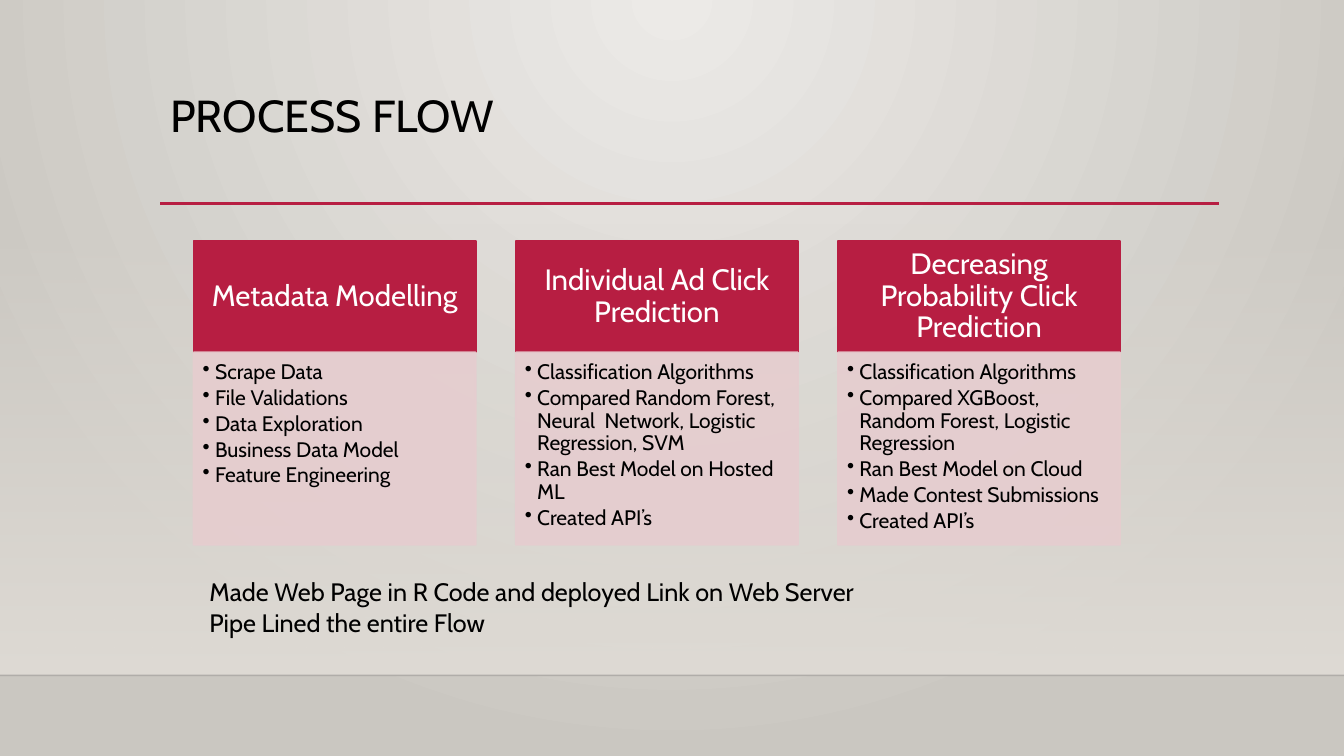
from pptx import Presentation
from pptx.dml.color import RGBColor
from pptx.enum.shapes import MSO_CONNECTOR as CONN, MSO_SHAPE as SHAPE
from pptx.enum.text import MSO_ANCHOR as ANCHOR, MSO_AUTO_SIZE as AUTO, PP_ALIGN as ALIGN
from pptx.oxml.ns import qn
from pptx.util import Cm, Pt
from lxml.etree import SubElement

rgb = RGBColor.from_string
CRIMSON, PINK, BLACK, WHITE = "B71E42", "E6CDCF", "000000", "FFFFFF"


def sub(parent, tag, **attrs):
    """Append an XML child with the given attributes."""
    return SubElement(parent, qn(tag), attrs)


def write(tf, lines, size, color, margins, para=None, **frame):
    """Fill a text frame, one paragraph per line."""
    frame = {"word_wrap": True, "vertical_anchor": ANCHOR.TOP, **frame}
    for side, cm in zip(("left", "top", "right", "bottom"), margins):
        frame[f"margin_{side}"] = Cm(cm)
    for name, value in frame.items():
        setattr(tf, name, value)
    for i, line in enumerate(lines):
        p = tf.paragraphs[0] if i == 0 else tf.add_paragraph()
        for name, value in {"alignment": ALIGN.LEFT, **(para or {})}.items():
            setattr(p, name, value)
        r = p.add_run()
        r.text = line
        r.font.name, r.font.size = "Cabin", Pt(size)
        r.font.color.rgb = rgb(color)


prs = Presentation()
prs.slide_width, prs.slide_height = Cm(33.87), Cm(19.05)
s = prs.slides.add_slide(prs.slide_layouts[5])

# Background: radial glow from the top centre
bg = s.background.fill
bg.gradient()
for stop, color in zip(bg.gradient_stops, ("ECEAE7", "CAC7C1")):
    stop.color.rgb = rgb(color)
grad = next(s.element.iter(qn("a:gradFill")))
grad.remove(grad.find(qn("a:lin")))
glow = sub(grad, "a:path", path="circle")
sub(glow, "a:fillToRect", l="43000", t="0", r="43000", b="100000")

# Wall fading in towards the floor
wall = s.shapes.add_shape(SHAPE.RECTANGLE, 0, Cm(5.61), prs.slide_width, Cm(11.41))
wall.shadow.inherit = False
wall.line.fill.background()
wall.fill.gradient()
wall.fill.gradient_angle = 270
for stop in wall.fill.gradient_stops:
    stop.color.rgb = rgb("DFDBD5")
sub(next(wall.element.iter(qn("a:srgbClr"))), "a:alpha", val="0")

# Floor edge and title rule: left, right, y, colour, width, opacity
for x1, x2, y, color, width, alpha in (
    (0, 33.87, 17.02, "000001", 1, 20),
    (4.04, 30.73, 5.13, CRIMSON, 2.5, 100),
):
    rule = s.shapes.add_connector(CONN.STRAIGHT, Cm(x1), Cm(y), Cm(x2), Cm(y))
    rule.line.color.rgb, rule.line.width = rgb(color), Pt(width)
    sub(next(rule.element.iter(qn("a:srgbClr"))), "a:alpha", val=str(alpha * 1000))
    sub(rule.element.spPr, "a:effectLst")

# Title
title = s.shapes.title
title.left, title.top, title.width, title.height = Cm(4.04), Cm(2.24), Cm(26.67), Cm(2.92)
write(title.text_frame, ["PROCESS FLOW"], 32, BLACK, (0.25, 0.13, 0.25, 0.13),
      {"line_spacing": 0.9}, auto_size=AUTO.NONE)

# Three process stages: heading over bullet list
stages = {
    "Metadata Modelling": [
        "Scrape Data", "File Validations", "Data Exploration",
        "Business Data Model", "Feature Engineering",
    ],
    "Individual Ad Click Prediction": [
        "Classification Algorithms",
        "Compared Random Forest, Neural  Network, Logistic Regression, SVM",
        "Ran Best Model on Hosted ML", "Created API’s",
    ],
    "Decreasing Probability Click Prediction": [
        "Classification Algorithms",
        "Compared XGBoost, Random Forest, Logistic Regression",
        "Ran Best Model on Cloud", "Made Contest Submissions", "Created API’s",
    ],
}
for i, (heading, steps) in enumerate(stages.items()):
    x = Cm(4.88 + 8.12 * i)
    head = s.shapes.add_shape(SHAPE.RECTANGLE, x, Cm(6.07), Cm(7.11), Cm(2.81))
    body = s.shapes.add_shape(SHAPE.RECTANGLE, x, Cm(8.88), Cm(7.11), Cm(4.85))
    for sp, color in ((head, CRIMSON), (body, PINK)):
        sp.shadow.inherit = False
        sp.fill.solid()
        sp.fill.fore_color.rgb = sp.line.color.rgb = rgb(color)
        sp.line.width = Pt(1.25)
    for clr in body.element.spPr.iter(qn("a:srgbClr")):
        sub(clr, "a:alpha", val="90000")

    write(head.text_frame, [heading], 21, WHITE, (0.41, 0.23, 0.41, 0.23),
          {"alignment": ALIGN.CENTER, "line_spacing": 0.9},
          vertical_anchor=ANCHOR.MIDDLE)
    write(body.text_frame, steps, 15, BLACK, (0.23, 0.23, 0.3, 0.33),
          {"level": 1, "line_spacing": 0.9, "space_after": Pt(2.25)})
    for p in body.text_frame.paragraphs:
        pPr = p._p.get_or_add_pPr()
        pPr.set("marL", str(Cm(0.31)))
        pPr.set("indent", str(-Cm(0.31)))
        sub(pPr, "a:buChar", char="•")

# Closing remarks
note = s.shapes.add_textbox(Cm(5.03), Cm(14.4), Cm(20.75), Cm(1.8))
write(note.text_frame,
      ["Made Web Page in R Code and deployed Link on Web Server",
       "Pipe Lined the entire Flow"],
      18, BLACK, (0.25, 0.13, 0.25, 0.13), auto_size=AUTO.SHAPE_TO_FIT_TEXT)

prs.save("out.pptx")
